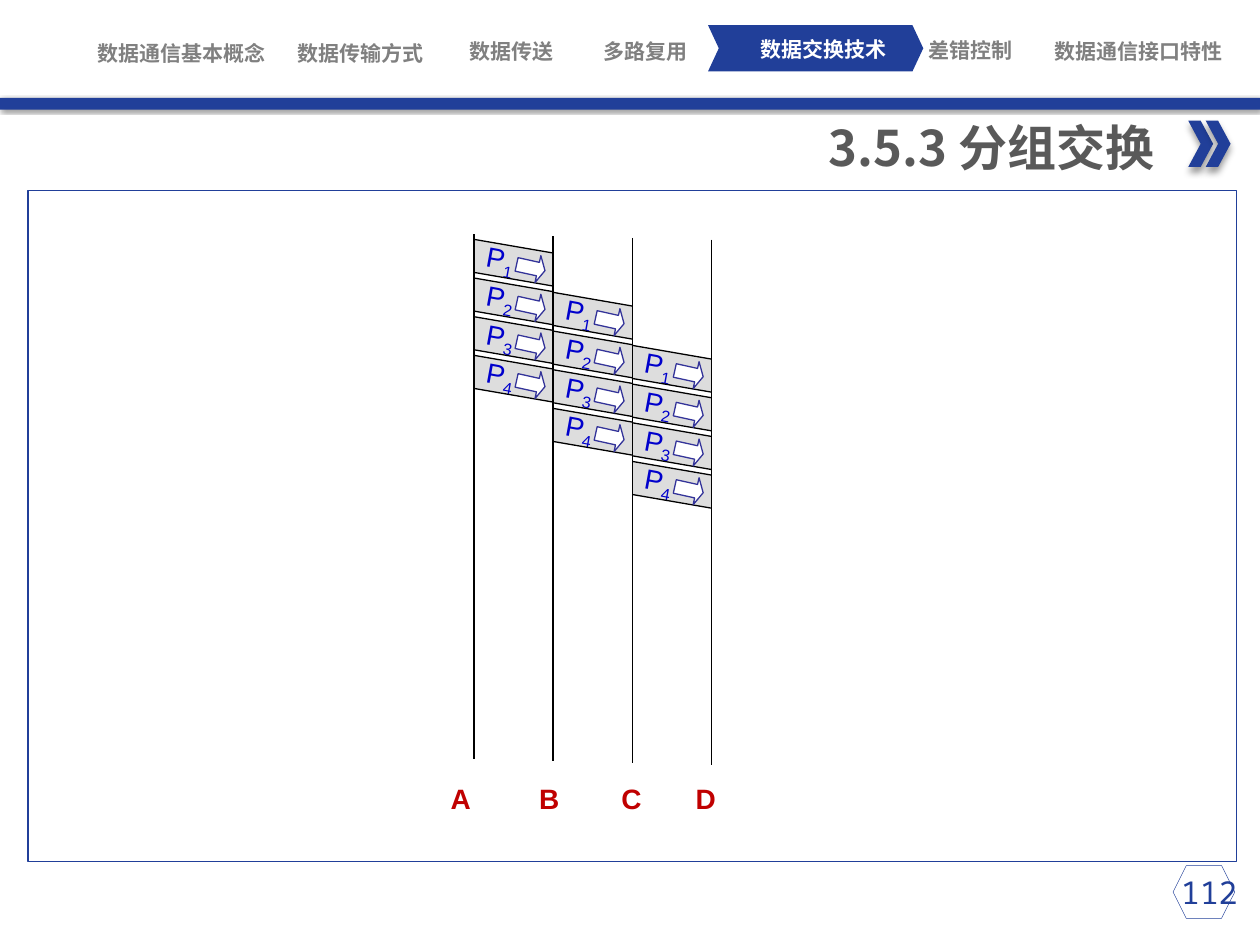
from dataclasses import dataclass
from lxml.etree import SubElement
from pptx import Presentation
from pptx.dml.color import RGBColor
from pptx.enum.shapes import MSO_CONNECTOR, MSO_SHAPE
from pptx.enum.text import MSO_ANCHOR, MSO_AUTO_SIZE, PP_ALIGN
from pptx.oxml import parse_xml
from pptx.oxml.ns import nsdecls, qn
from pptx.util import Pt


@dataclass(frozen=True)
class Theme:
    blue: str = "213F99"
    white: str = "FFFFFF"
    black: str = "000000"
    nav_gray: str = "808080"
    title_gray: str = "595959"
    packet_fill: str = "DDDDDD"
    packet_text: str = "0000CC"
    arrow_line: str = "333399"
    station_red: str = "C00000"
    nav_size: int = 12
    title_size: int = 28
    number_size: int = 18
    diagram_size: int = 16
    nav_font: str = "Roboto Condensed"
    title_font: str = "Noto Sans CJK SC"
    number_font: str = "Noto Sans Mono"
    diagram_font: str = "Arial"


theme = Theme()


def add_shape(shapes, kind, box, fill=None, line=None, width=0.75, adjustments=()):
    shape = shapes.add_shape(kind, *map(Pt, box))
    shape.shadow.inherit = False
    if fill:
        shape.fill.solid()
        shape.fill.fore_color.rgb = RGBColor.from_string(fill)
    else:
        shape.fill.background()
    if line:
        shape.line.color.rgb = RGBColor.from_string(line)
        shape.line.width = Pt(width)
    else:
        shape.line.fill.background()
    for index, value in enumerate(adjustments):
        shape.adjustments[index] = value
    return shape


def set_text(shape, runs, size, font_name, color, bold=False, align=PP_ALIGN.LEFT, wrap=False):
    frame = shape.text_frame
    frame.word_wrap = wrap
    frame.auto_size = MSO_AUTO_SIZE.SHAPE_TO_FIT_TEXT
    paragraph = frame.paragraphs[0]
    for text in runs:
        paragraph.add_run().text = text
    paragraph.alignment = align
    font = paragraph.font
    font.size, font.bold, font.name = Pt(size), bold, font_name
    font.color.rgb = RGBColor.from_string(color)
    SubElement(font._element, qn("a:ea"), typeface=theme.title_font)
    return paragraph


presentation = Presentation()
presentation.slide_width, presentation.slide_height = Pt(720), Pt(540)
slide = presentation.slides.add_slide(presentation.slide_layouts[5])
shapes = slide.shapes

# Navigation: text, centre x, top; the current section sits on a chevron
add_shape(shapes, MSO_SHAPE.CHEVRON, (404.6, 14.4, 123, 26.4), theme.blue, adjustments=[0.234])
sections = [
    ("数据通信基本概念", 104, 23), ("数据传输方式", 206, 23),
    ("数据传送", 292.5, 22), ("多路复用", 369, 22), ("数据交换技术", 470.5, 21),
    ("差错控制", 554.5, 21.5), ("数据通信接口特性", 650.5, 22),
]
nav_width = 104
for text, center, top in sections:
    label = shapes.add_textbox(Pt(center - nav_width / 2), Pt(top), Pt(nav_width), Pt(14.4))
    color = theme.white if text == "数据交换技术" else theme.nav_gray
    set_text(label, [text], theme.nav_size, theme.nav_font, color, True, PP_ALIGN.CENTER, True)
    frame = label.text_frame
    frame.margin_left = frame.margin_top = frame.margin_right = frame.margin_bottom = 0
    frame.vertical_anchor = MSO_ANCHOR.MIDDLE

# Header bar and double chevron, with soft shadows: blur, distance, angle
bar = add_shape(shapes, MSO_SHAPE.RECTANGLE, (0, 56, 720, 6.7), theme.blue)
shadows = [(bar, 2, 1, 45)]
chevrons = shapes.add_group_shape()
for left in (679, 689):
    chevron = add_shape(chevrons.shapes, MSO_SHAPE.CHEVRON, (left, 69, 14.2, 26.4), theme.blue)
    shadows.append((chevron, 4, 3, 90))
for shape, blur, distance, angle in shadows:
    effects = shape._element.spPr.find(qn("a:effectLst"))
    effects.append(parse_xml(
        f'<a:outerShdw {nsdecls("a")} blurRad="{Pt(blur)}" dist="{Pt(distance)}" '
        f'dir="{angle * 60000}" algn="ctr" rotWithShape="0"><a:srgbClr val="{theme.black}">'
        '<a:alpha val="40000"/></a:srgbClr></a:outerShdw>'))

# Title
title = shapes.title
title.left, title.top, title.width, title.height = Pt(460), Pt(63.4), Pt(213), Pt(41)
set_text(title, ["3.5.3 分组交换 "], theme.title_size, theme.title_font, theme.title_gray,
         True, PP_ALIGN.RIGHT)
title.text_frame.vertical_anchor = MSO_ANCHOR.TOP

# Content frame and page number
add_shape(shapes, MSO_SHAPE.RECTANGLE, (16, 108.7, 690.5, 383.8), line=theme.blue)
add_shape(shapes, MSO_SHAPE.HEXAGON, (670.3, 494.6, 35.3, 30.2), line=theme.blue, width=0.25)
number = shapes.add_textbox(Pt(660), Pt(495.4), Pt(62), Pt(29))
set_text(number, ["112"], theme.number_size, theme.number_font, theme.blue,
         align=PP_ALIGN.CENTER, wrap=True)

# Packets: each hop starts one step later than the hop before it
grid_left, grid_top = 271, 136.8
hop_width, hop_delay, packet_step = 45.2, 30.3, 22.1
packet_height, slope = 18.9, 7.8
connectors = []
for hop in range(3):
    for packet in range(4):
        left = grid_left + hop * hop_width
        top = grid_top + hop * hop_delay + packet * packet_step
        group = shapes.add_group_shape().shapes

        block_width = packet_height + slope
        block_box = (left + (hop_width - block_width) / 2,
                     top + (block_width - hop_width) / 2, block_width, hop_width)
        block = add_shape(group, MSO_SHAPE.PARALLELOGRAM, block_box, theme.packet_fill,
                          adjustments=[0.292])
        block.rotation = 90

        label = group.add_textbox(Pt(left), Pt(top - 2.2), Pt(31), Pt(26.6))
        label.rotation = 10.4
        paragraph = set_text(label, ["P", str(packet + 1)], theme.diagram_size,
                             theme.diagram_font, theme.packet_text)
        paragraph.runs[1].font._element.set("baseline", "-25000")

        for edge in (top, top + packet_height):
            line = group.add_connector(MSO_CONNECTOR.STRAIGHT, Pt(left), Pt(edge),
                                       Pt(left + hop_width), Pt(edge + slope))
            connectors.append((line, 0.75))

        arrow = add_shape(group, MSO_SHAPE.RIGHT_ARROW, (left + 24, top + 8.2, 16.6, 15.8),
                          theme.white, theme.arrow_line, adjustments=[0.5, 0.262])
        arrow.rotation = 12.4

# Station time lines
for station in range(4):
    x, top = grid_left + station * hop_width, 134 + station
    line = shapes.add_connector(MSO_CONNECTOR.STRAIGHT, Pt(x), Pt(top), Pt(x), Pt(top + 300))
    connectors.append((line, 1))
for line, width in connectors:
    line.line.color.rgb = RGBColor.from_string(theme.black)
    line.line.width = Pt(width)
    SubElement(line._element.spPr, qn("a:effectLst"))

# Station names, spaced with tab stops
stations = shapes.add_textbox(Pt(250.5), Pt(442.8), Pt(174), Pt(26.6))
paragraph = set_text(stations, ["A\tB\tC\tD"], theme.diagram_size, theme.diagram_font,
                     theme.station_red, True)
tab_list = parse_xml(f'<a:tabLst {nsdecls("a")}/>')
for position in (50.5, 97.5, 140):
    SubElement(tab_list, qn("a:tab"), pos=str(Pt(position)), algn="l")
paragraph.font._element.addprevious(tab_list)

presentation.save("out.pptx")
